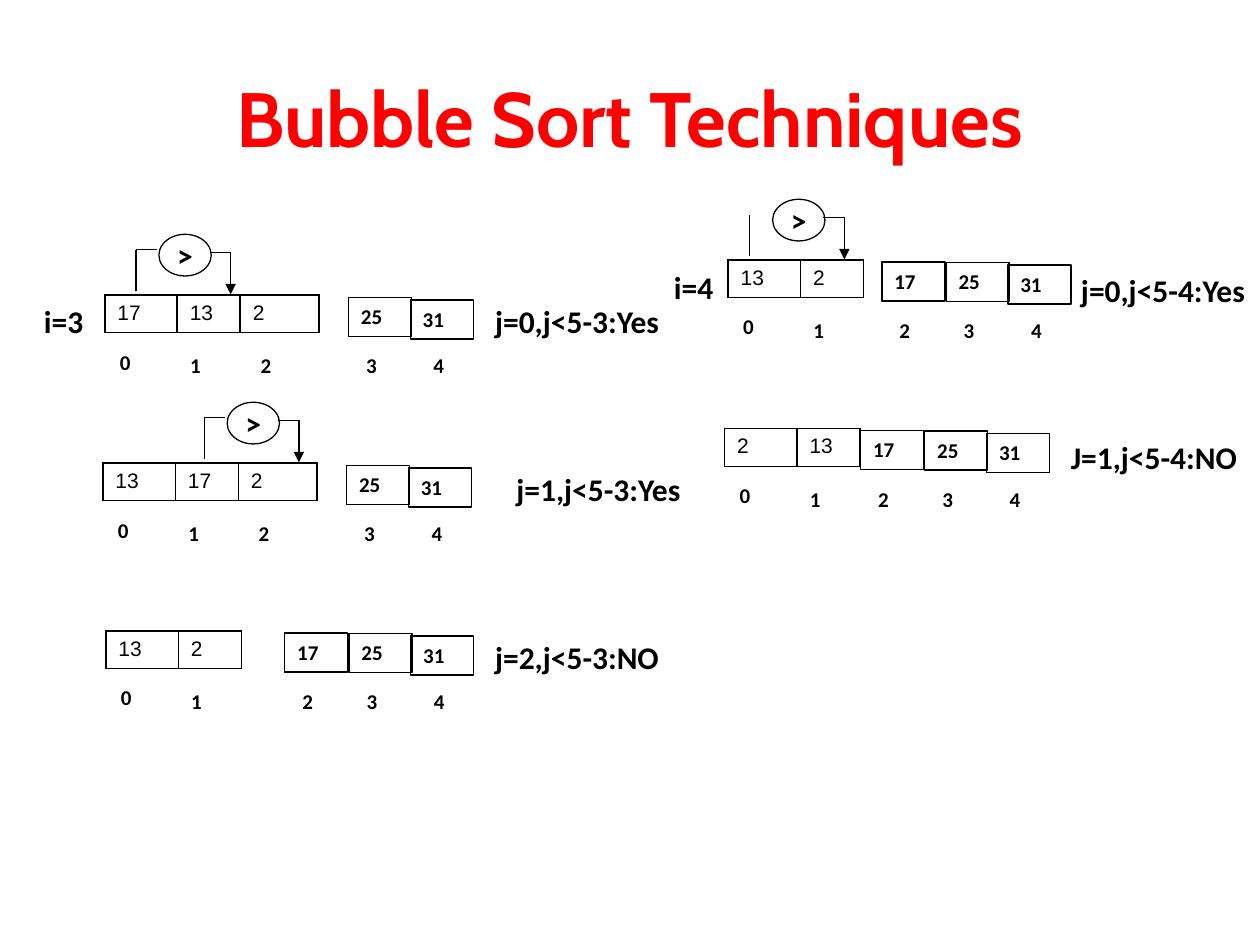
import pptx
import pptx.util
import pptx.dml.color
import pptx.enum.shapes
import pptx.enum.text
import pptx.oxml
import pptx.oxml.ns
from lxml import etree

Pt = pptx.util.Pt
SHAPE = pptx.enum.shapes.MSO_SHAPE
ANCHOR = pptx.enum.text.MSO_ANCHOR
ALIGN = pptx.enum.text.PP_ALIGN
COLORS = {"ink": "000000", "paper": "FFFFFF", "title": "FF0000"}
COLUMN_WIDTHS = {2: (41.4, 36), 3: (41.4, 36, 45)}
SORTED_BOXES = {"31": (0, 2.9, 6.1), "25": (-35.3, 1.5, 2.9), "17": (-72, 1.2, 2.9)}


def color(key):
    """Return the colour stored under a key."""
    return pptx.dml.color.RGBColor.from_string(COLORS[key])


def write(frame, wording, size=12, font="Calibri", ink="ink", bold=True, align=ALIGN.LEFT):
    """Set the text of a frame and format its run."""
    frame.text = wording
    paragraph = frame.paragraphs[0]
    paragraph.alignment = align
    run = paragraph.runs[0]
    run.font.size, run.font.name, run.font.bold = Pt(size), font, bold
    run.font.color.rgb = color(ink)


def add_label(slide, box, wording, wrap=False, anchor=ANCHOR.TOP, **style):
    """Add a plain text box."""
    frame = slide.shapes.add_textbox(*map(Pt, box)).text_frame
    frame.word_wrap, frame.vertical_anchor = wrap, anchor
    write(frame, wording, **style)


def add_box(slide, kind, box, wording, fill="paper", line="ink", anchor=ANCHOR.TOP, wrap=True, **style):
    """Add an outlined shape that holds text."""
    shape = slide.shapes.add_shape(kind, *map(Pt, box))
    shape.shadow.inherit = False
    if fill:
        shape.fill.solid()
        shape.fill.fore_color.rgb = color(fill)
    else:
        shape.fill.background()
    shape.line.color.rgb = color(line)
    shape.line.width = Pt(0.75)
    shape.text_frame.word_wrap, shape.text_frame.vertical_anchor = wrap, anchor
    write(shape.text_frame, wording, **style)


def add_line(slide, start, end, arrow=False):
    """Add a thin straight line, with an arrowhead if asked."""
    line = slide.shapes.add_connector(
        pptx.enum.shapes.MSO_CONNECTOR.STRAIGHT, *map(Pt, start + end))
    line.line.color.rgb = color("ink")
    line.line.width = Pt(0.75)
    if arrow:
        etree.SubElement(line.line._get_or_add_ln(), pptx.oxml.ns.qn("a:tailEnd"), type="triangle")
    etree.SubElement(line._element.spPr, pptx.oxml.ns.qn("a:effectLst"))


def add_borders(cell):
    """Draw a one-point border on every side of a cell."""
    properties = cell._tc.get_or_add_tcPr()
    for position, side in enumerate(("lnL", "lnR", "lnT", "lnB")):
        properties.insert(position, pptx.oxml.parse_xml(
            f'<a:{side} {pptx.oxml.ns.nsdecls("a")} w="12700"><a:solidFill>'
            f'<a:srgbClr val="{COLORS["ink"]}"/></a:solidFill></a:{side}>'))


def add_unsorted(slide, left, top, values):
    """Add the unsorted part of the array as a one-row table."""
    widths = COLUMN_WIDTHS[len(values)]
    table = slide.shapes.add_table(
        1, len(values), Pt(left), Pt(top), Pt(sum(widths)), Pt(21.6)).table
    table.first_row = table.horz_banding = False
    table.rows[0].height = Pt(21.6)
    for column, (value, width) in enumerate(zip(values, widths)):
        table.columns[column].width = Pt(width)
        cell = table.cell(0, column)
        write(cell.text_frame, value, font="Arial", bold=False)
        cell.fill.background()
        add_borders(cell)


def add_index(slide, left, top, index):
    """Add the index below an array element."""
    add_box(slide, SHAPE.RECTANGLE, (left, top, 27, 18), str(index), line="paper")


def add_comparison(slide, left, top, lead=(0, -25.9)):
    """Add the comparison circle and its lines above two elements."""
    lead_left, lead_top = left + lead[0], top + lead[1]
    add_line(slide, (left, top - 2), (left, top - 25.9))
    add_box(slide, SHAPE.OVAL, (left + 13, top - 34.6, 29.9, 23.8), ">", anchor=ANCHOR.MIDDLE,
            wrap=False, size=18, align=ALIGN.CENTER)
    add_line(slide, (lead_left, lead_top), (lead_left + 12, lead_top))
    add_line(slide, (left + 42, top - 24.3), (left + 54, top - 24.3))
    add_line(slide, (left + 54, top - 24.3), (left + 54, top - 0.3), arrow=True)


def add_step(slide, left, top, unsorted, sorted_left, condition, condition_left, drop=0.5):
    """Add one array state with its indices and loop condition."""
    add_unsorted(slide, left, top, unsorted)
    for index in range(len(unsorted)):
        add_index(slide, left + 1.5 + 40.2 * index, top + (29.5 if index else 27.4), index)
    for index, value in zip(range(4, len(unsorted) - 1, -1), SORTED_BOXES):
        shift, lower, indent = SORTED_BOXES[value]
        value_left = left + sorted_left + shift
        add_index(slide, value_left + indent, top + 29.5, index)
        add_box(slide, SHAPE.RECTANGLE, (value_left, top + lower, 36, 22.3), value, fill=None)
    add_label(slide, (condition_left, top + drop, 109.5, 29), condition, size=18)


STEPS = [
    (59.9, 168.5, ("17", "13", "2"), 174.6, "j=0,j<5-3:Yes", 275.8),
    (58.8, 264.5, ("13", "17", "2"), 174.6, "j=1,j<5-3:Yes", 288),
    (60.5, 360.5, ("13", "2"), 174.3, "j=2,j<5-3:NO", 275.8),
    (416, 148.5, ("13", "2"), 160, "j=0,j<5-4:Yes", 610.6, 2.6),
    (414, 244.8, ("2", "13"), 149.8, "J=1,j<5-4:NO", 604.8, 2.2),
]
COMPARISONS = [(77.8, 168.5), (116.8, 264.5), (428.5, 148.5, (27.4, -0.2))]
PASSES = {"i=3": (18, 169.2), "i=4": (378, 149.8)}

deck = pptx.Presentation()
deck.slide_width, deck.slide_height = Pt(720), Pt(540)
bubble_sort = deck.slides.add_slide(deck.slide_layouts[6])
add_label(bubble_sort, (36, 21.6, 648, 90), "Bubble Sort Techniques", wrap=True,
          anchor=ANCHOR.MIDDLE, size=44, font="Cabin", ink="title", align=ALIGN.CENTER)
for step in STEPS:
    add_step(bubble_sort, *step)
for comparison in COMPARISONS:
    add_comparison(bubble_sort, *comparison)
for outer_pass, place in PASSES.items():
    add_label(bubble_sort, place + (36.7, 29), outer_pass, size=18)
deck.save("out.pptx")
